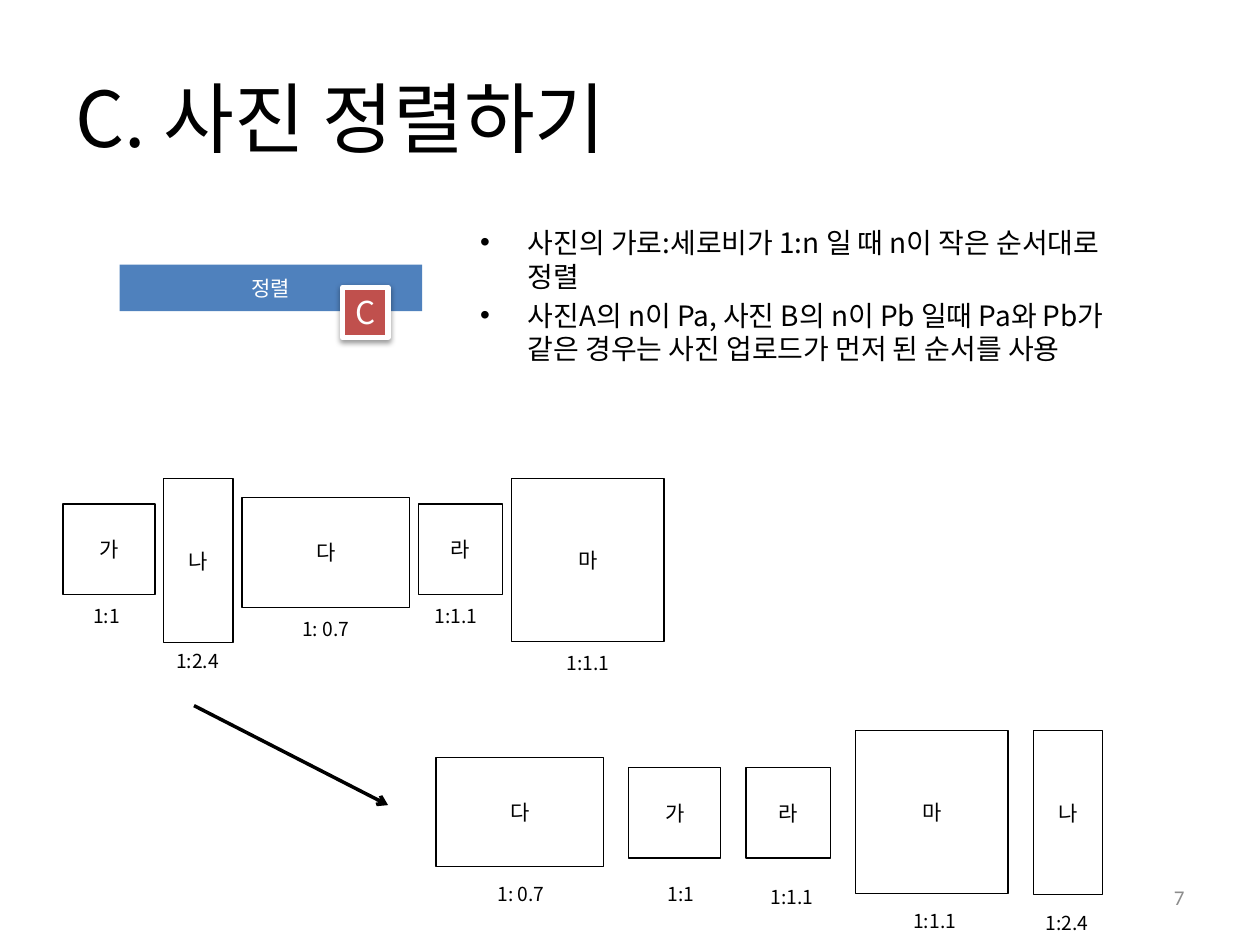
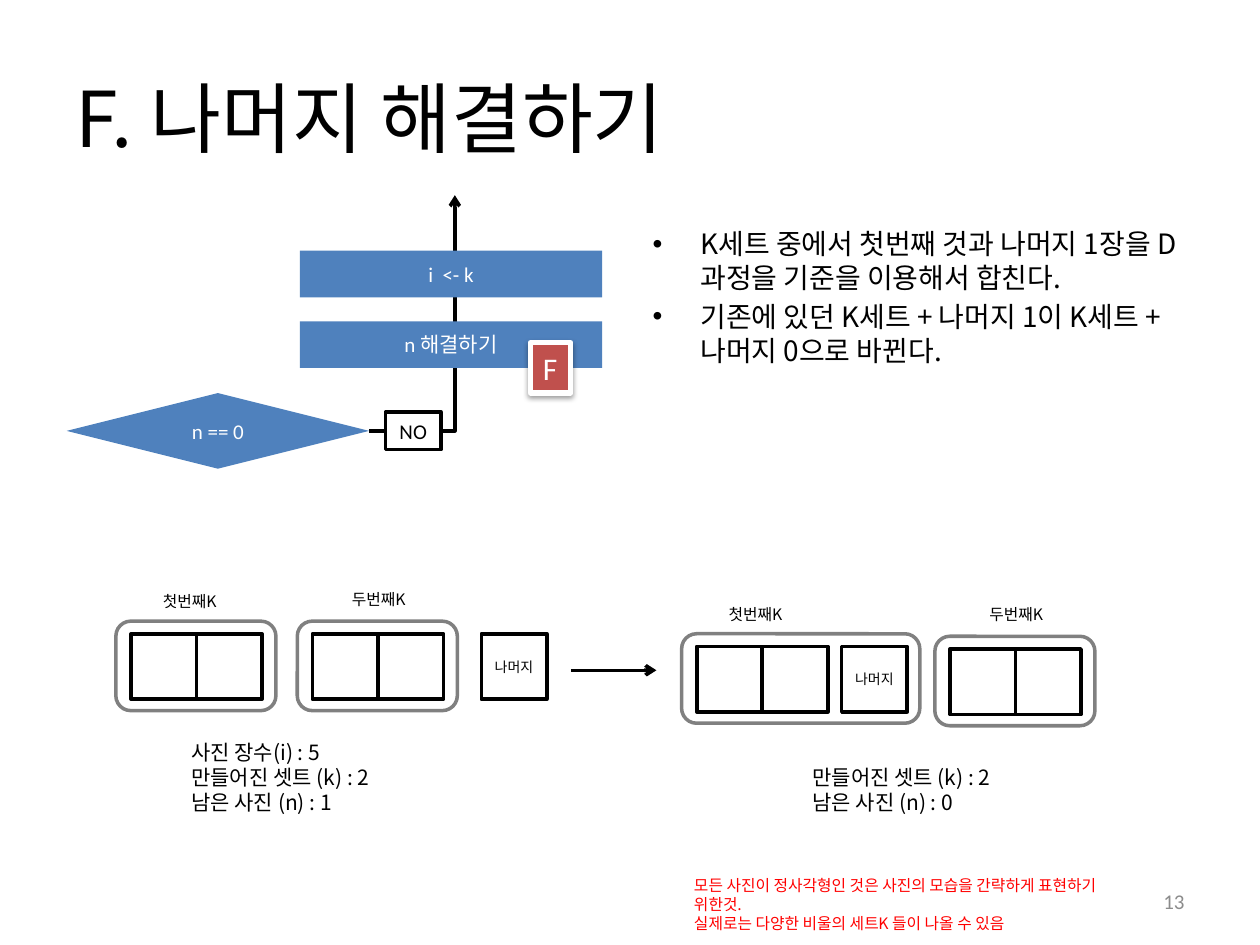
import lxml.etree
import pptx
import pptx.dml.color
import pptx.enum.shapes
import pptx.enum.text
import pptx.oxml.ns
import pptx.util

Inches = pptx.util.Inches
Pt = pptx.util.Pt
RGB = pptx.dml.color.RGBColor
Shape = pptx.enum.shapes.MSO_SHAPE
Connector = pptx.enum.shapes.MSO_CONNECTOR
Align = pptx.enum.text.PP_ALIGN
Anchor = pptx.enum.text.MSO_ANCHOR
qn = pptx.oxml.ns.qn

BLACK = RGB(0, 0, 0)
WHITE = RGB(255, 255, 255)
BLUE = RGB(0x4F, 0x81, 0xBD)
BADGE_RED = RGB(0xC0, 0x50, 0x4D)
NOTE_RED = RGB(255, 0, 0)
FRAME_GRAY = RGB(0x80, 0x80, 0x80)
NUMBER_GRAY = RGB(0x8C, 0x8C, 0x8C)
KOREAN = "Noto Sans CJK KR"
LATIN = "Calibri"

STEP_WIDTH, STEP_HEIGHT = 2.4, 0.37
SQUARE = 0.52
PHOTOS = {
    "가": (0.73, 0.72, "1:1", 0.43),
    "나": (0.55, 1.3, "1:2.4", 0.57),
    "다": (1.33, 0.87, "1: 0.7", 0.6),
    "라": (0.67, 0.72, "1:1.1", 0.56),
    "마": (1.21, 1.29, "1:1.1", 0.56),
}


def write(frame, lines, size, color=BLACK, font=KOREAN, align=Align.LEFT,
          anchor=Anchor.TOP, wrap=True):
    """Fill a text frame with evenly styled paragraphs."""
    frame.auto_size = pptx.enum.text.MSO_AUTO_SIZE.NONE
    frame.word_wrap = wrap
    frame.vertical_anchor = anchor
    frame.text = "\n".join(lines)
    for paragraph in frame.paragraphs:
        paragraph.alignment = align
        paragraph.line_spacing = Pt(round(size * 1.2, 1))
        paragraph.font.size = Pt(size)
        paragraph.font.color.rgb = color
        paragraph.font.name = font
        east_asian = lxml.etree.SubElement(paragraph.font._element, qn("a:ea"))
        east_asian.set("typeface", KOREAN)


def place(shape, left, top, width, height):
    """Move a placeholder to the given box."""
    shape.left, shape.top = Inches(left), Inches(top)
    shape.width, shape.height = Inches(width), Inches(height)


def add_text(slide, left, top, width, height, lines, size, **style):
    """Add a text box."""
    box = slide.shapes.add_textbox(
        Inches(left), Inches(top), Inches(width), Inches(height))
    write(box.text_frame, lines, size, **style)


def add_box(slide, left, top, width, height, fill=WHITE, line=BLACK,
            weight=2, kind=Shape.RECTANGLE):
    """Add a flat shape; a missing fill or line stays empty."""
    box = slide.shapes.add_shape(
        kind, Inches(left), Inches(top), Inches(width), Inches(height))
    box.shadow.inherit = False
    if fill is None:
        box.fill.background()
    else:
        box.fill.solid()
        box.fill.fore_color.rgb = fill
    if line is None:
        box.line.fill.background()
    else:
        box.line.color.rgb = line
        box.line.width = Pt(weight)
    return box


def add_centered(slide, left, top, width, height, label, size,
                 color=BLACK, font=KOREAN, **look):
    """Add a shape with a label in its middle."""
    box = add_box(slide, left, top, width, height, **look)
    write(box.text_frame, [label], size, color, font, Align.CENTER, Anchor.MIDDLE)


def add_step(slide, left, top, label, font=LATIN, height=STEP_HEIGHT,
             kind=Shape.RECTANGLE):
    """Add one blue step of the flow chart."""
    add_centered(slide, left, top, STEP_WIDTH, height, label, 12, WHITE, font,
                 fill=BLUE, line=None, kind=kind)


def add_badge(slide, left, top, width, letter, font):
    """Add the red letter badge with its soft shadow."""
    badge = add_box(slide, left, top, width, 0.4, BADGE_RED, WHITE, 3)
    write(badge.text_frame, [letter], 18, WHITE, font, wrap=False)
    effects = badge._element.spPr.find(qn("a:effectLst"))
    shadow = lxml.etree.SubElement(
        effects, qn("a:outerShdw"), blurRad=str(Pt(3.1)), dist=str(Pt(1.6)),
        dir="5400000", rotWithShape="0")
    tint = lxml.etree.SubElement(shadow, qn("a:srgbClr"), val="000000")
    lxml.etree.SubElement(tint, qn("a:alpha"), val="38000")


def add_arrow(slide, start, end, kind=Connector.STRAIGHT):
    """Add a black arrow; an elbow turns once."""
    arrow = slide.shapes.add_connector(
        kind, *(Inches(value) for value in (*start, *end)))
    arrow.line.color.rgb = BLACK
    arrow.line.width = Pt(2)
    properties = arrow._element.spPr
    if kind == Connector.ELBOW:
        properties.find(qn("a:prstGeom")).set("prst", "bentConnector2")
    lxml.etree.SubElement(properties.find(qn("a:ln")), qn("a:tailEnd"), type="arrow")
    lxml.etree.SubElement(properties, qn("a:effectLst"))


def start_slide(deck, title, rules, rules_box, number, number_top):
    """Add a slide with its title, bulleted rules and page number."""
    slide = deck.slides.add_slide(deck.slide_layouts[1])
    heading, body = slide.placeholders
    place(heading, 0.5, 0.3, 9, 1.25)
    write(heading.text_frame, [title], 44, anchor=Anchor.MIDDLE)
    place(body, *rules_box)
    write(body.text_frame, rules, 16)
    for paragraph in body.text_frame.paragraphs:
        paragraph.space_before = Pt(3.2)
        indents = paragraph._p.get_or_add_pPr()
        indents.set("marL", str(Inches(0.38)))
        indents.set("indent", str(-Inches(0.38)))
    add_text(slide, 7.17, number_top, 2.33, 0.4, [number], 12, color=NUMBER_GRAY,
             font=LATIN, align=Align.RIGHT, anchor=Anchor.MIDDLE)
    return slide


def add_photo_row(slide, left, top, gap, photos):
    """Lay photos out with equal gaps; each has a drop, label shift and label drop."""
    for name, drop, label_shift, label_drop in photos:
        width, height, ratio, label_width = PHOTOS[name]
        add_centered(slide, left, top + drop, width, height, name, 12, weight=0.75)
        add_text(slide, left + label_shift, top + drop + height + label_drop,
                 label_width, 0.29, [ratio], 11, wrap=False)
        left += width + gap


def add_remainder(slide, left, top):
    """Add the square of the left-over photo."""
    add_centered(slide, left, top, SQUARE, SQUARE, "나머지", 8)


def add_photo_set(slide, left, top, label, label_shift, label_rise, merged=False):
    """Add a framed pair of photos, with the remainder when merged."""
    for column in (1, 0):
        add_box(slide, left + 0.12 + column * SQUARE, top + 0.1, SQUARE, SQUARE)
    if merged:
        add_remainder(slide, left + 1.27, top + 0.1)
    add_box(slide, left, top, 1.89 if merged else 1.27, 0.71, fill=None,
            line=FRAME_GRAY, kind=Shape.ROUNDED_RECTANGLE)
    add_text(slide, left + label_shift, top - label_rise, 0.85, 0.25, [label], 9,
             align=Align.CENTER)


def add_set_pair(slide, first, second, merged=False):
    """Add the first and second photo sets at their corners."""
    add_photo_set(slide, *first, "첫번째K", 0.16, 0.28, merged)
    add_photo_set(slide, *second, "두번째K", 0.22, 0.3)


def add_remainder_flow(slide, left, top):
    """Add the flow from the test of n up to the next step."""
    middle = top + 1.87
    step_left = left + 1.85
    add_step(slide, left, middle - 0.3, "n == 0", height=0.6, kind=Shape.DIAMOND)
    add_arrow(slide, (left + STEP_WIDTH, middle), (left + 3.08, top), Connector.ELBOW)
    add_step(slide, step_left, top + 1, "n 해결하기")
    add_badge(slide, left + 3.68, top + 1.17, 0.32, "F", LATIN)
    add_centered(slide, left + 2.53, middle - 0.15, 0.44, 0.3, "NO", 12, font=LATIN)
    add_step(slide, step_left, top + 0.44, "i  <- k")


def build_sorting(deck):
    """Build the slide on sorting photos."""
    slide = start_slide(
        deck, "C. 사진 정렬하기",
        ["사진의 가로:세로비가 1:n 일 때 n이 작은 순서대로 정렬",
         "사진A의 n이 Pa, 사진 B의 n이 Pb 일때 Pa와 Pb가 같은 경우는 "
         "사진 업로드가 먼저 된 순서를 사용"],
        (3.71, 1.74, 5.5, 1.8), "7", 6.92)
    add_step(slide, 0.95, 2.1, "정렬", KOREAN)
    add_badge(slide, 2.72, 2.28, 0.36, "C", KOREAN)
    add_photo_row(slide, 0.5, 3.8, 0.07, [
        ("가", 0.2, 0.14, 0.03), ("나", 0, 0, 0), ("다", 0.15, 0.38, 0.03),
        ("라", 0.2, 0.03, 0.03), ("마", 0, 0.34, 0.03)])
    add_arrow(slide, (1.54, 5.6), (3.08, 6.39))
    add_photo_row(slide, 3.46, 5.8, 0.2, [
        ("다", 0.21, 0.39, 0.07), ("가", 0.29, 0.21, 0.14), ("라", 0.29, 0.1, 0.17),
        ("마", 0, 0.36, 0.08), ("나", 0, 0, 0.08)])


def build_remainder(deck):
    """Build the slide on resolving the remainder."""
    slide = start_slide(
        deck, "F. 나머지 해결하기",
        ["K세트 중에서 첫번째 것과 나머지 1장을 D과정을 기준을 이용해서 합친다.",
         "기존에 있던 K세트 + 나머지 1이 K세트 + 나머지 0으로 바뀐다."],
        (5.08, 1.75, 4.42, 1.82), "13", 6.95)
    add_remainder_flow(slide, 0.53, 1.55)
    add_set_pair(slide, (0.92, 4.93), (2.36, 4.93))
    add_remainder(slide, 3.82, 5.03)
    add_arrow(slide, (4.53, 5.32), (5.21, 5.32))
    add_set_pair(slide, (5.41, 5.03), (7.42, 5.05), merged=True)
    add_text(slide, 1.42, 5.82, 1.65, 0.71,
             ["사진 장수(i) : 5", "만들어진 셋트 (k) : 2", "남은 사진 (n) : 1"], 12)
    add_text(slide, 6.35, 6.02, 1.65, 0.5,
             ["만들어진 셋트 (k) : 2", "남은 사진 (n) : 0"], 12)
    add_text(slide, 5.41, 6.9, 3.73, 0.4,
             ["모든 사진이 정사각형인 것은 사진의 모습을 간략하게 표현하기 위한것.",
              "실제로는 다양한 비울의 세트K 들이 나올 수 있음"], 9, color=NOTE_RED)


deck = pptx.Presentation()
deck.slide_width, deck.slide_height = Inches(10), Inches(7.5)
build_sorting(deck)
build_remainder(deck)
deck.save("out.pptx")
